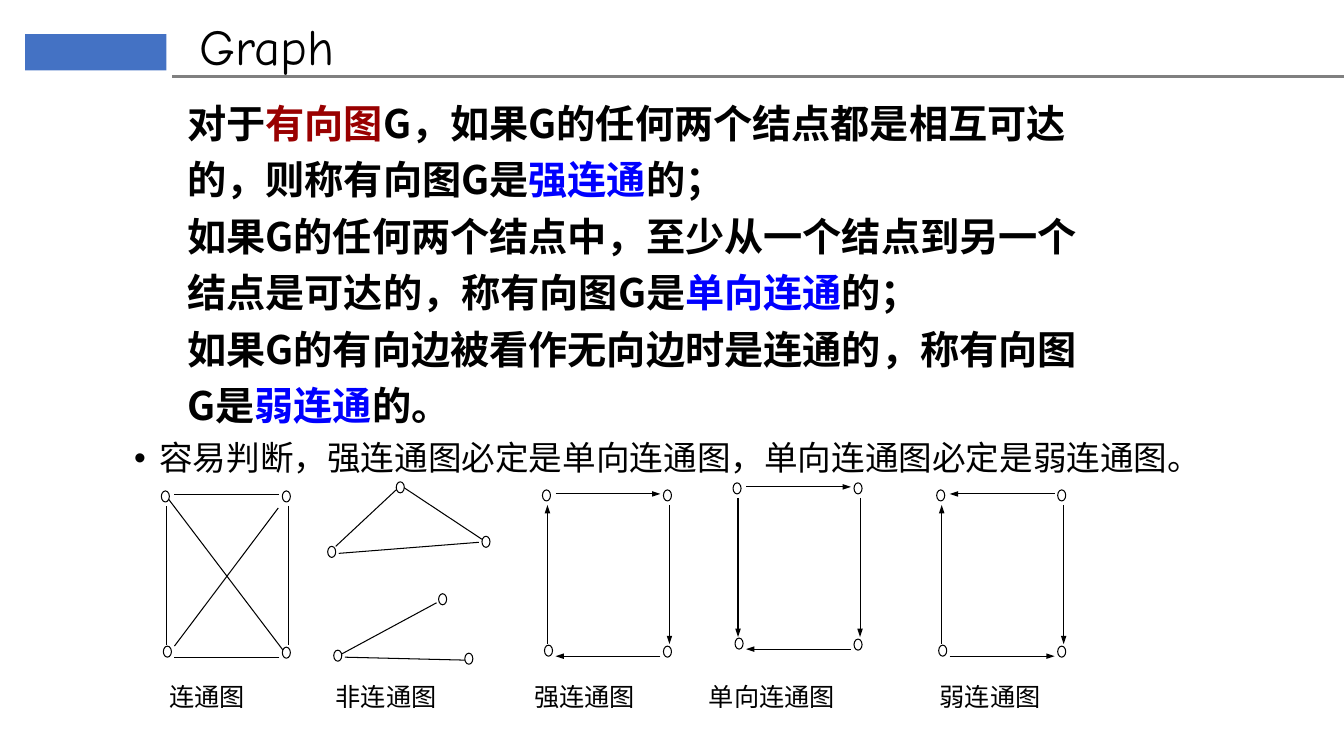
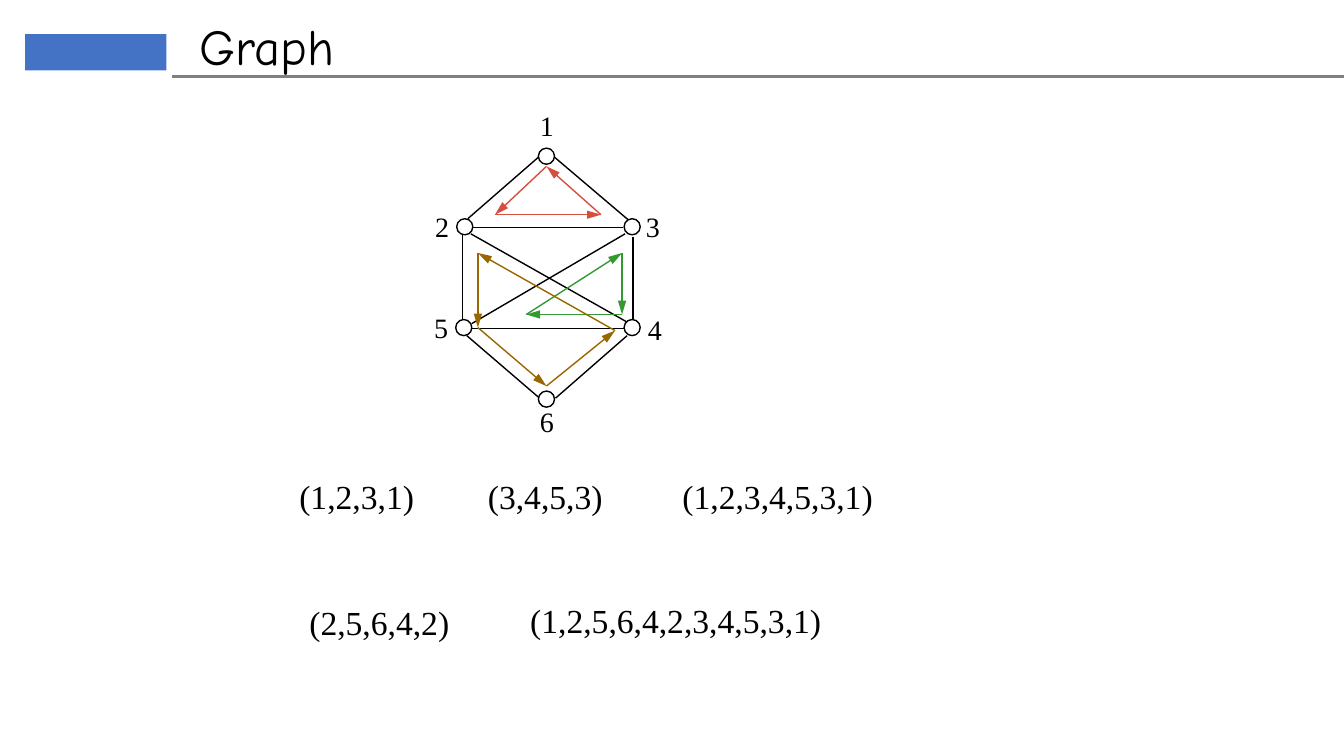
from dataclasses import dataclass

from pptx import Presentation
from pptx.dml.color import RGBColor
from pptx.enum.shapes import MSO_CONNECTOR, MSO_SHAPE
from pptx.enum.text import MSO_ANCHOR, MSO_AUTO_SIZE, PP_ALIGN
from pptx.oxml.ns import qn
from pptx.oxml.xmlchemy import OxmlElement
from pptx.util import Inches, Pt


@dataclass(frozen=True)
class Theme:
    """Colours, fonts and sizes shared by the slides."""

    ink: str = "000000"
    paper: str = "FFFFFF"
    brand: str = "4472C4"
    rule: str = "808080"
    subject: str = "990000"
    term: str = "0000FF"
    red_cycle: str = "D54F41"
    green_cycle: str = "339933"
    brown_cycle: str = "996600"
    title_font: str = "Comic Neue"
    chinese_font: str = "Noto Sans CJK SC"
    serif_font: str = "Times New Roman"
    title_size: int = 36
    definition_size: int = 28
    body_size: int = 24
    label_size: int = 20
    caption_size: int = 18
    rule_width: float = 2
    thin_edge: float = 0.75
    edge: float = 1
    slim_tip: tuple = ("sm", "med")
    long_tip: tuple = ("med", "lg")


THEME = Theme()

DEFINITIONS = [
    [("对于", THEME.ink), ("有向图", THEME.subject),
     ("G，如果G的任何两个结点都是相互可达的，则称有向图G是", THEME.ink),
     ("强连通", THEME.term), ("的；", THEME.ink)],
    [("如果G的任何两个结点中，至少从一个结点到另一个结点是可达的，称有向图G是", THEME.ink),
     ("单向连通", THEME.term), ("的；", THEME.ink)],
    [("如果G的有向边被看作无向边时是连通的，称有向图G是", THEME.ink),
     ("弱连通", THEME.term), ("的。", THEME.ink)],
]

SQUARE_NODES = [(0, 0), (1.2, 0), (1.2, 1.55), (0.02, 1.54)]
CLOCKWISE_SIDES = [
    ((0.13, 0.04), (1.17, 0.04)),
    ((1.26, 0.15), (1.26, 1.53)),
    ((1.17, 1.65), (0.13, 1.65)),
    ((0.05, 1.53), (0.05, 0.15)),
]
DIAGONALS = [((0.04, 0.04), (1.26, 1.65)), ((0.13, 1.54), (1.16, 0.17))]
SPLIT_NODES = [(0.68, 0), (1.53, 0.54), (0, 0.64), (0.06, 1.67), (1.36, 1.7), (1.1, 1.11)]
SPLIT_EDGES = [
    ((0.08, 0.64), (0.69, 0.07)),
    ((0.76, 0.06), (1.53, 0.57)),
    ((0.11, 0.71), (1.5, 0.6)),
    ((1.41, 1.77), (0.17, 1.74)),
    ((1.08, 1.2), (0.08, 1.74)),
]
DIRECTED_GRAPHS = [
    (5.38, 4.86, (True, True, True, True)),
    (7.27, 4.79, (True, True, True, False)),
    (9.29, 4.86, (False, True, False, True)),
]
CAPTIONS = [
    ("连通图", 1.68, 1.11),
    ("非连通图", 3.33, 1.5),
    ("强连通图", 5.3, 1.58),
    ("单向连通图", 7.03, 1.89),
    ("弱连通图", 9.32, 1.73),
]

HEXAGON_NODES = [
    ("1", (1.13, 0.39), (1.05, 0)),
    ("2", (0.32, 1.09), (0.01, 1)),
    ("3", (1.98, 1.09), (2.1, 1)),
    ("4", (1.98, 2.09), (2.12, 2.02)),
    ("5", (0.31, 2.09), (0, 2)),
    ("6", (1.13, 2.8), (1.05, 2.93)),
]
HEXAGON_EDGES = [
    ((1.13, 0.48), (0.43, 1.09)),
    ((1.29, 0.48), (2.02, 1.1)),
    ((0.48, 1.18), (1.97, 1.18)),
    ((0.38, 1.25), (0.38, 2.09)),
    ((2.07, 1.27), (2.07, 2.08)),
    ((0.46, 1.24), (2, 2.11)),
    ((1.99, 1.24), (0.47, 2.13)),
    ((0.47, 2.18), (1.98, 2.18)),
    ((0.42, 2.25), (1.13, 2.86)),
    ((2.01, 2.25), (1.3, 2.87)),
]
CYCLES = [
    (THEME.red_cycle, [(1.21, 0.57), (0.7, 1.05), (1.75, 1.05)]),
    (THEME.green_cycle, [(1.96, 1.43), (1.96, 2.04), (1.01, 2.04)]),
    (THEME.brown_cycle, [(0.53, 1.43), (0.53, 2.17), (1.21, 2.75), (1.89, 2.2)]),
]
CYCLE_LISTS = [
    ("(1,2,3,1)", 2.87, 4.67, 1.35),
    ("(3,4,5,3)", 4.74, 4.67, 1.35),
    ("(1,2,3,4,5,3,1)", 6.67, 4.67, 2.11),
    ("(2,5,6,4,2)", 2.97, 5.92, 1.6),
    ("(1,2,5,6,4,2,3,4,5,3,1)", 5.16, 5.9, 3.12),
]


def style_run(run, font, size, color=THEME.ink, bold=False):
    """Give a run its Latin and East Asian font, size and colour."""
    run.font.name = font
    run.font.size = Pt(size)
    run.font.bold = bold
    run.font.color.rgb = RGBColor.from_string(color)
    east_asian = OxmlElement("a:ea")
    east_asian.set("typeface", font)
    run.font._element.find(qn("a:latin")).addnext(east_asian)


def place(part, left, top, width, height):
    """Move a placeholder to the given box."""
    part.left, part.top = Inches(left), Inches(top)
    part.width, part.height = Inches(width), Inches(height)


def add_text(shapes, text, box, font, size, insets=(0.1, 0.05, 0.1, 0.05), wrap=True):
    """Add a one-paragraph text box and return its frame."""
    frame = shapes.add_textbox(*map(Inches, box)).text_frame
    frame.word_wrap = wrap
    (frame.margin_left, frame.margin_top,
     frame.margin_right, frame.margin_bottom) = map(Inches, insets)
    frame.text = text
    style_run(frame.paragraphs[0].runs[0], font, size)
    return frame


def add_edge(shapes, origin, start, end, color=THEME.ink, width=THEME.edge, tip=None):
    """Draw a line between two points measured from the origin."""
    ends = [Inches(base + offset) for point in (start, end)
            for base, offset in zip(origin, point)]
    edge = shapes.add_connector(MSO_CONNECTOR.STRAIGHT, *ends)
    edge.line.color.rgb = RGBColor.from_string(color)
    edge.line.width = Pt(width)
    outline = edge.element.spPr.find(qn("a:ln"))
    if tip:
        arrowhead = OxmlElement("a:tailEnd")
        for key, value in zip(("type", "w", "len"), ("triangle", *tip)):
            arrowhead.set(key, value)
        outline.append(arrowhead)
    outline.addnext(OxmlElement("a:effectLst"))


def add_node(shapes, origin, offset, size, width, fill=None):
    """Draw a round node whose corner is measured from the origin."""
    corner = [Inches(base + step) for base, step in zip(origin, offset)]
    node = shapes.add_shape(MSO_SHAPE.OVAL, *corner, *map(Inches, size))
    node.shadow.inherit = False
    if fill:
        node.fill.solid()
        node.fill.fore_color.rgb = RGBColor.from_string(fill)
    else:
        node.fill.background()
    node.line.color.rgb = RGBColor.from_string(THEME.ink)
    node.line.width = Pt(width)


def add_header(slide):
    """Place the brand block, the rule and the title."""
    brand_box = map(Inches, (0.25, 0.34, 1.4, 0.36))
    brand = slide.shapes.add_shape(MSO_SHAPE.RECTANGLE, *brand_box)
    brand.shadow.inherit = False
    brand.fill.solid()
    brand.fill.fore_color.rgb = RGBColor.from_string(THEME.brand)
    brand.line.fill.background()
    add_edge(slide.shapes, (0, 0.76), (1.71, 0), (13.33, 0), THEME.rule, THEME.rule_width)
    title = slide.shapes.title
    place(title, 1.88, 0.1, 8.62, 0.71)
    frame = title.text_frame
    frame.text = "Graph"
    frame.auto_size = MSO_AUTO_SIZE.NONE
    frame.vertical_anchor = MSO_ANCHOR.TOP
    frame.paragraphs[0].alignment = PP_ALIGN.LEFT
    style_run(frame.paragraphs[0].runs[0], THEME.title_font, THEME.title_size)


def add_definitions(slide, box):
    """Write the three kinds of connectivity with coloured terms."""
    frame = slide.shapes.add_textbox(*map(Inches, box)).text_frame
    frame.word_wrap = True
    for index, pieces in enumerate(DEFINITIONS):
        paragraph = frame.add_paragraph() if index else frame.paragraphs[0]
        paragraph.line_spacing = 1.2
        for text, color in pieces:
            run = paragraph.add_run()
            run.text = text
            style_run(run, THEME.chinese_font, THEME.definition_size, color, True)


def add_conclusion(slide, box):
    """Write the bulleted conclusion in the body placeholder."""
    body = slide.placeholders[1]
    place(body, *box)
    frame = body.text_frame
    frame.text = "容易判断，强连通图必定是单向连通图，单向连通图必定是弱连通图。"
    frame.auto_size = MSO_AUTO_SIZE.NONE
    paragraph = frame.paragraphs[0]
    paragraph.line_spacing = 0.9
    paragraph.space_before = Pt(10)
    indents = paragraph._p.get_or_add_pPr()
    indents.set("marL", str(Inches(0.25)))
    indents.set("indent", str(Inches(-0.25)))
    style_run(paragraph.runs[0], THEME.chinese_font, THEME.body_size)


def add_small_graph(slide, origin, nodes, edges, tip=None):
    """Draw one example graph with its corner at the origin."""
    for start, end in edges:
        add_edge(slide.shapes, origin, start, end, width=THEME.thin_edge, tip=tip)
    for offset in nodes:
        add_node(slide.shapes, origin, offset, (0.08, 0.11), THEME.thin_edge, THEME.paper)


def add_hexagon_graph(slide, origin):
    """Draw the six-node graph with its labels and coloured cycles."""
    shapes = slide.shapes.add_group_shape().shapes
    for start, end in HEXAGON_EDGES:
        add_edge(shapes, origin, start, end)
    for label, corner, label_corner in HEXAGON_NODES:
        add_node(shapes, origin, corner, (0.16, 0.16), THEME.edge)
        left, top = (base + step for base, step in zip(origin, label_corner))
        frame = add_text(shapes, label, (left, top, 0.33, 0.33), THEME.serif_font,
                         THEME.label_size, insets=(0, 0, 0, 0))
        frame.paragraphs[0].alignment = PP_ALIGN.CENTER
    for color, stops in CYCLES:
        for start, end in zip(stops, stops[1:] + stops[:1]):
            add_edge(shapes, origin, start, end, color, tip=THEME.long_tip)


def build_connectivity_slide(deck):
    """Build the slide that defines and compares connectivity."""
    slide = deck.slides.add_slide(deck.slide_layouts[1])
    add_header(slide)
    add_conclusion(slide, (1.23, 4.33, 10.77, 2.05))
    add_small_graph(slide, (1.6, 4.87), SQUARE_NODES, CLOCKWISE_SIDES + DIAGONALS)
    add_small_graph(slide, (3.25, 4.78), SPLIT_NODES, SPLIT_EDGES)
    for left, top, clockwise in DIRECTED_GRAPHS:
        edges = [side if forward else side[::-1]
                 for side, forward in zip(CLOCKWISE_SIDES, clockwise)]
        add_small_graph(slide, (left, top), SQUARE_NODES, edges, THEME.slim_tip)
    for caption, left, width in CAPTIONS:
        add_text(slide.shapes, caption, (left, 6.76, width, 0.4), THEME.chinese_font,
                 THEME.caption_size, insets=(0, 0, 0.1, 0))
    add_definitions(slide, (1.76, 0.84, 9.22, 3.45))


def build_cycles_slide(deck):
    """Build the slide that lists the cycles of a graph."""
    slide = deck.slides.add_slide(deck.slide_layouts[5])
    add_header(slide)
    add_hexagon_graph(slide, (4.21, 1.08))
    for cycle, left, top, width in CYCLE_LISTS:
        add_text(slide.shapes, cycle, (left, top, width, 0.5), THEME.serif_font,
                 THEME.body_size, wrap=False)


def main():
    """Build and save the deck."""
    deck = Presentation()
    deck.slide_width, deck.slide_height = Inches(13.33), Inches(7.5)
    build_connectivity_slide(deck)
    build_cycles_slide(deck)
    deck.save("out.pptx")


if __name__ == "__main__":
    main()
